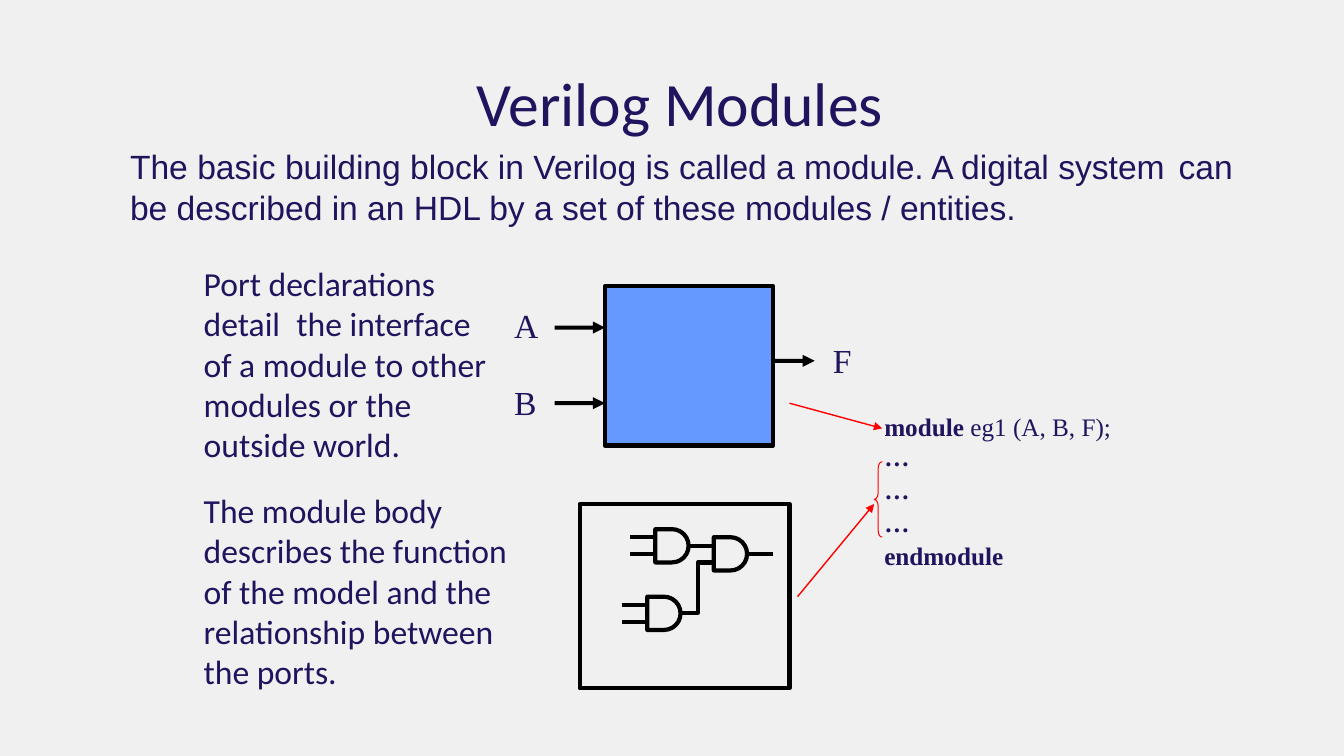
from lxml import etree
from pptx import Presentation
from pptx.dml.color import RGBColor
from pptx.enum.shapes import MSO_CONNECTOR, MSO_SHAPE
from pptx.enum.text import PP_ALIGN
from pptx.oxml.ns import qn
from pptx.util import Inches, Pt

STRAIGHT = MSO_CONNECTOR.STRAIGHT
RECTANGLE = MSO_SHAPE.RECTANGLE
AND_GATE = MSO_SHAPE.FLOWCHART_DELAY
BRACE = MSO_SHAPE.LEFT_BRACE
LEFT, CENTER = PP_ALIGN.LEFT, PP_ALIGN.CENTER

NAVY, BLACK, RED = "1F145D", "000000", "FF0000"
BLUE, GREY = "6699FF", "F0F0F0"
SANS, HEADING, SERIF = "Arial", "Calibri", "Times New Roman"
GATE_SIZE = 0.33
GATES = [(6.5, 5.25), (6.42, 5.92), (7.08, 5.33)]
WIRES = [
    [(6.5, 5.33), (6.25, 5.33)], [(6.5, 5.5), (6.25, 5.5)],
    [(7.08, 5.42), (6.83, 5.42)], [(7.67, 5.5), (7.42, 5.5)],
    [(6.42, 6), (6.17, 6)], [(6.42, 6.17), (6.17, 6.17)],
    [(6.75, 6.08), (6.92, 6.08), (6.92, 5.58), (7.08, 5.58)],
]
PORT_ARROWS = [(5.5, 6, 3.25), (5.5, 6, 4), (7.67, 8.08, 3.58)]


def color(value):
    return RGBColor.from_string(value)


def add_text_box(page, left, top, width, height):
    box = page.shapes.add_textbox(Inches(left), Inches(top), Inches(width), Inches(height))
    frame = box.text_frame
    frame.word_wrap = True
    frame.margin_left = frame.margin_right = 0
    frame.margin_top = frame.margin_bottom = 0
    return frame


def write(para, spans, font, size, align=LEFT, before=0, tab=None, right=0):
    para.alignment = align
    para.space_before = Pt(before)
    properties = para._p.get_or_add_pPr()
    properties.set("marR", str(Inches(right)))
    if tab:
        tabs = etree.SubElement(properties, qn("a:tabLst"))
        etree.SubElement(tabs, qn("a:tab"), pos=str(Inches(tab)), algn="l")
    for text, bold in spans:
        span = para.add_run()
        span.text = text
        span.font.name = font
        span.font.size = Pt(size)
        span.font.bold = bold
        span.font.color.rgb = color(NAVY)


def paint(shape, fill=None, line=None, weight=0):
    shape.shadow.inherit = False
    if fill:
        shape.fill.solid()
        shape.fill.fore_color.rgb = color(fill)
    else:
        shape.fill.background()
    if line:
        shape.line.color.rgb = color(line)
        shape.line.width = Pt(weight)
    else:
        shape.line.fill.background()


def add_shape(page, kind, left, top, width, height, line, weight, fill=None):
    shape = page.shapes.add_shape(kind, Inches(left), Inches(top), Inches(width), Inches(height))
    paint(shape, fill, line, weight)
    return shape


def add_outline(page, contours, close):
    contours = [[(Inches(x), Inches(y)) for x, y in contour] for contour in contours]
    builder = page.shapes.build_freeform(*contours[0][0])
    for index, (start, *others) in enumerate(contours):
        if index:
            builder.move_to(*start)
        builder.add_line_segments(others, close=close)
    return builder.convert_to_shape()


def arrow_contour(start, end, y):
    neck = end - 0.12
    return [(end, y), (neck, y - 0.06), (neck, y - 0.02), (start, y - 0.02),
            (start, y + 0.02), (neck, y + 0.02), (neck, y + 0.06)]


def add_pointer(page, ends):
    connector = page.shapes.add_connector(STRAIGHT, *[Inches(end) for end in ends])
    connector.line.color.rgb = color(RED)
    connector.line.width = Pt(1)
    etree.SubElement(connector.line._get_or_add_ln(), qn("a:tailEnd"), type="triangle")
    etree.SubElement(connector._element.spPr, qn("a:effectLst"))


def add_heading(page):
    frame = add_text_box(page, 1.29, 0.64, 11.1, 1.6)
    write(frame.paragraphs[0], [("Verilog Modules", False)], HEADING, 44, CENTER, right=0.19)
    intro = ("The basic building block in Verilog is called a module. A digital system\tcan "
             "be described in an HDL by a set of these modules / entities.")
    write(frame.add_paragraph(), [(intro, False)], SANS, 24, before=5.5, tab=10.4)


def add_descriptions(page):
    ports = ("Port declarations detail\tthe interface of a module to other "
             "modules or the outside world.")
    body = ("The module body describes the function of the model and the "
            "relationship between the ports.")
    for text, top, width, tab in [(ports, 2.61, 2.85, 0.92), (body, 4.86, 3.06, None)]:
        frame = add_text_box(page, 2.02, top, width, 2.03)
        write(frame.paragraphs[0], [(text, False)], HEADING, 24, tab=tab)


def add_block(page):
    add_shape(page, RECTANGLE, 6, 2.84, 1.67, 1.58, BLACK, 3, BLUE)
    for name, left, top in [("A", 5.1, 3.03), ("B", 5.1, 3.79), ("F", 8.26, 3.37)]:
        frame = add_text_box(page, left, top, 0.27, 0.43)
        write(frame.paragraphs[0], [(name, False)], SERIF, 24)
    arrows = [arrow_contour(*arrow) for arrow in PORT_ARROWS]
    paint(add_outline(page, arrows, True), fill=BLACK)


def add_circuit(page):
    add_shape(page, RECTANGLE, 5.75, 5, 2.08, 1.83, BLACK, 3)
    for left, top in GATES:
        add_shape(page, AND_GATE, left, top, GATE_SIZE, GATE_SIZE, BLACK, 3)
    paint(add_outline(page, WIRES, False), line=BLACK, weight=3)


def add_code(page):
    lines = [
        [("module ", True), ("eg1 (A, B, F);", False)],
        *[[("…", True)]] * 3,
        [("endmodule", True)],
    ]
    frame = add_text_box(page, 8.77, 4.08, 2.28, 1.61)
    for index, spans in enumerate(lines):
        para = frame.add_paragraph() if index else frame.paragraphs[0]
        write(para, spans, SERIF, 18, before=2 if index > 1 else 0)
    brace = add_shape(page, BRACE, 8.67, 4.58, 0.08, 0.75, RED, 0.72)
    brace.adjustments[0] = 0.8
    for ends in [(7.83, 4, 8.75, 4.25), (7.91, 5.92, 8.67, 5)]:
        add_pointer(page, ends)


def main():
    deck = Presentation()
    deck.slide_width, deck.slide_height = Inches(13.33), Inches(7.5)
    page = deck.slides.add_slide(deck.slide_layouts[6])
    page.background.fill.solid()
    page.background.fill.fore_color.rgb = color(GREY)
    add_heading(page)
    add_descriptions(page)
    add_block(page)
    add_circuit(page)
    add_code(page)
    deck.save("out.pptx")


if __name__ == "__main__":
    main()
